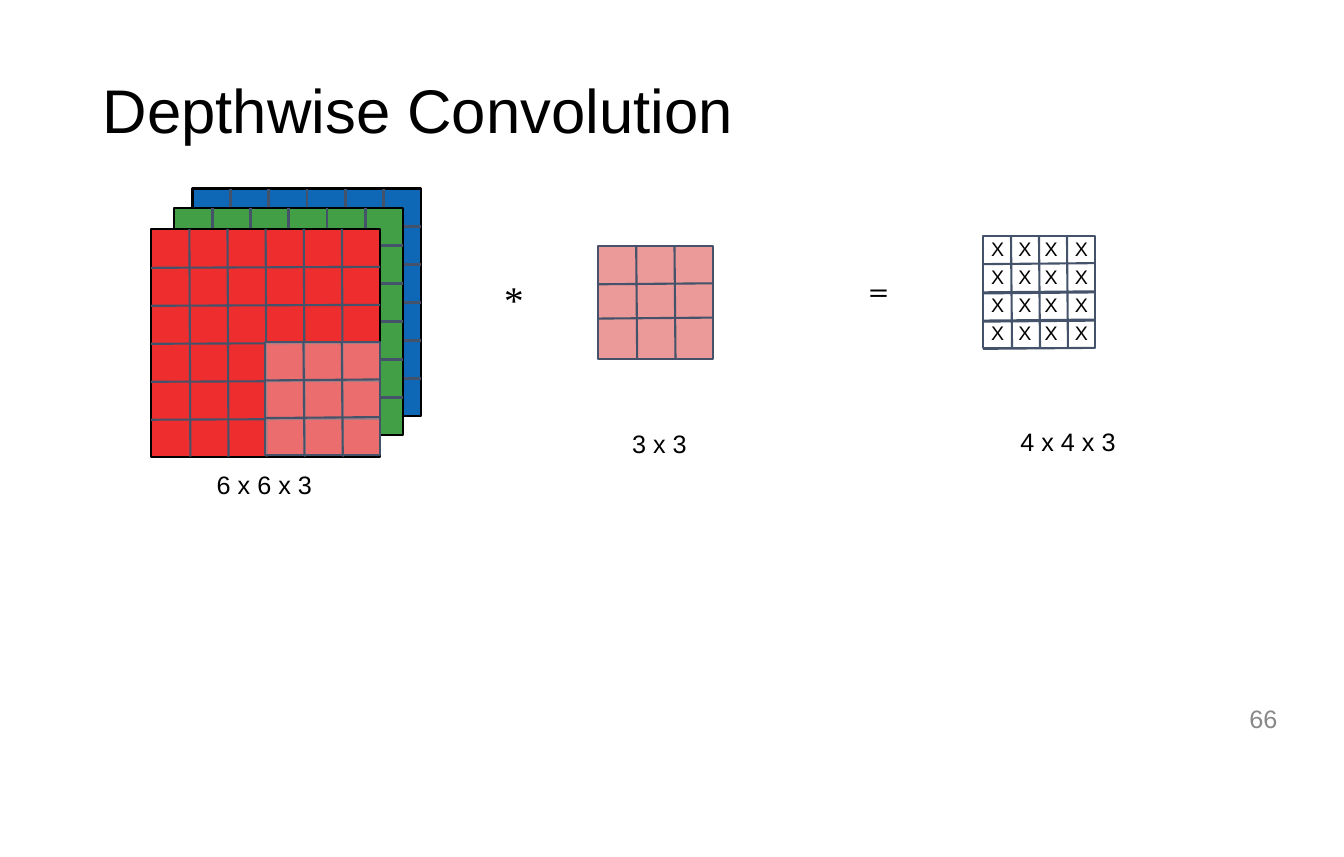
from lxml.etree import SubElement
from pptx import Presentation
from pptx.dml.color import RGBColor
from pptx.enum.shapes import MSO_CONNECTOR, MSO_SHAPE
from pptx.enum.text import MSO_ANCHOR, MSO_AUTO_SIZE, PP_ALIGN
from pptx.oxml.ns import qn
from pptx.util import Inches, Pt

BLACK = RGBColor(0x00, 0x00, 0x00)
WHITE = RGBColor(0xFF, 0xFF, 0xFF)
GRAY = RGBColor(0x88, 0x88, 0x88)
SLATE = RGBColor(0x44, 0x53, 0x6A)
BLUE = RGBColor(0x0E, 0x68, 0xB6)
GREEN = RGBColor(0x43, 0x9F, 0x46)
RED = RGBColor(0xED, 0x2D, 0x2E)
PINK = RGBColor(0xEB, 0x99, 0x99)
LEAN = 0.01


def write_text(frame, text, *, size=18, font="Arial", color=BLACK, align=PP_ALIGN.LEFT):
    frame.auto_size = MSO_AUTO_SIZE.NONE
    frame.word_wrap = True
    frame.vertical_anchor = MSO_ANCHOR.BOTTOM
    frame.margin_left = frame.margin_right = 0
    frame.margin_top = frame.margin_bottom = 0
    para = frame.paragraphs[0]
    para.alignment = align
    span = para.add_run()
    span.text = text
    span.font.size = Pt(size)
    span.font.name = font
    span.font.color.rgb = color


class ConvolutionSlide:
    """Draws titles, labels and channel grids on one slide."""

    def __init__(self, page):
        self.page = page

    def title(self, text, left, top, width, height):
        box = self.page.shapes.title
        box.left, box.top = Inches(left), Inches(top)
        box.width, box.height = Inches(width), Inches(height)
        write_text(box.text_frame, text, size=44)

    def label(self, text, left, top, width, height, **style):
        box = self.page.shapes.add_textbox(
            Inches(left), Inches(top), Inches(width), Inches(height))
        write_text(box.text_frame, text, **style)

    def line(self, x1, y1, x2, y2, weight=1.5):
        rule = self.page.shapes.add_connector(
            MSO_CONNECTOR.STRAIGHT, Inches(x1), Inches(y1), Inches(x2), Inches(y2))
        rule.line.color.rgb = SLATE
        rule.line.width = Pt(weight)
        SubElement(rule.element.spPr, qn("a:effectLst"))

    def sheet(self, left, top, width, height, fill, border=SLATE, opacity=None):
        box = self.page.shapes.add_shape(
            MSO_SHAPE.RECTANGLE, Inches(left), Inches(top), Inches(width), Inches(height))
        box.shadow.inherit = False
        box.fill.solid()
        box.fill.fore_color.rgb = fill
        if opacity is not None:
            color = box.element.spPr.find(qn("a:solidFill")).find(qn("a:srgbClr"))
            SubElement(color, qn("a:alpha"), val=str(opacity * 1000))
        box.line.color.rgb = border
        box.line.width = Pt(1.5)

    def back_channel(self, left, top, size, count, fill, rise, reach):
        self.sheet(left, top, *size, fill, border=BLACK)
        width, height = size
        right = left + width
        for step in range(1, count):
            x = left + width * step / count
            y = top + height * step / count
            self.line(x, top, x, top + rise, weight=2.08)
            self.line(right - reach, y, right, y, weight=2.06)

    def grid(self, left, top, size, count, fill, rows=None, **style):
        self.sheet(left, top, *size, fill, **style)
        width, height = size
        rows = rows or [height * step / count for step in range(1, count)]
        for step in range(1, count):
            x = left + width * step / count
            self.line(x, top, x + LEAN, top + height)
        for row in rows:
            self.line(left, top + row + LEAN, left + width, top + row)


def main():
    deck = Presentation()
    deck.slide_width, deck.slide_height = Inches(13.33), Inches(8.5)
    slide = ConvolutionSlide(deck.slides.add_slide(deck.slide_layouts[5]))
    slide.title("Depthwise Convolution", 1.02, 0.69, 6.63, 0.76)

    image, kernel, result = (2.27, 2.26), (1.14, 1.12), (1.11, 1.11)
    slide.back_channel(1.91, 1.87, image, 6, BLUE, rise=0.19, reach=0.18)
    slide.back_channel(1.73, 2.06, image, 6, GREEN, rise=0.21, reach=0.23)
    slide.grid(1.5, 2.27, image, 6, RED, border=BLACK)
    slide.grid(2.63, 3.39, kernel, 3, PINK, opacity=60)
    slide.grid(5.93, 2.44, kernel, 3, PINK, rows=(0.37, 0.71))
    slide.grid(9.75, 2.34, result, 4, WHITE, rows=(0.27, 0.55, 0.56, 0.83, 0.84, 1.11))

    for row in range(4):
        for left in (9.83, 10.1, 10.36, 10.66):
            slide.label("X", left, 2.34 + 0.28 * row, 0.19, 0.24, size=14)

    slide.label("6 x 6 x 3", 2.15, 4.63, 1.1, 0.33)
    slide.label("3 x 3", 6.27, 4.22, 0.7, 0.33)
    slide.label("4 x 4 x 3", 10.12, 4.2, 1.1, 0.33)
    slide.label("*", 5, 2.71, 0.3, 0.49, size=28, font="Times New Roman")
    slide.label("=", 8.61, 2.62, 0.3, 0.48, size=27, font="Cambria")
    slide.label("66", 9.6, 6.95, 3.07, 0.33, color=GRAY, align=PP_ALIGN.RIGHT)
    deck.save("out.pptx")


if __name__ == "__main__":
    main()
